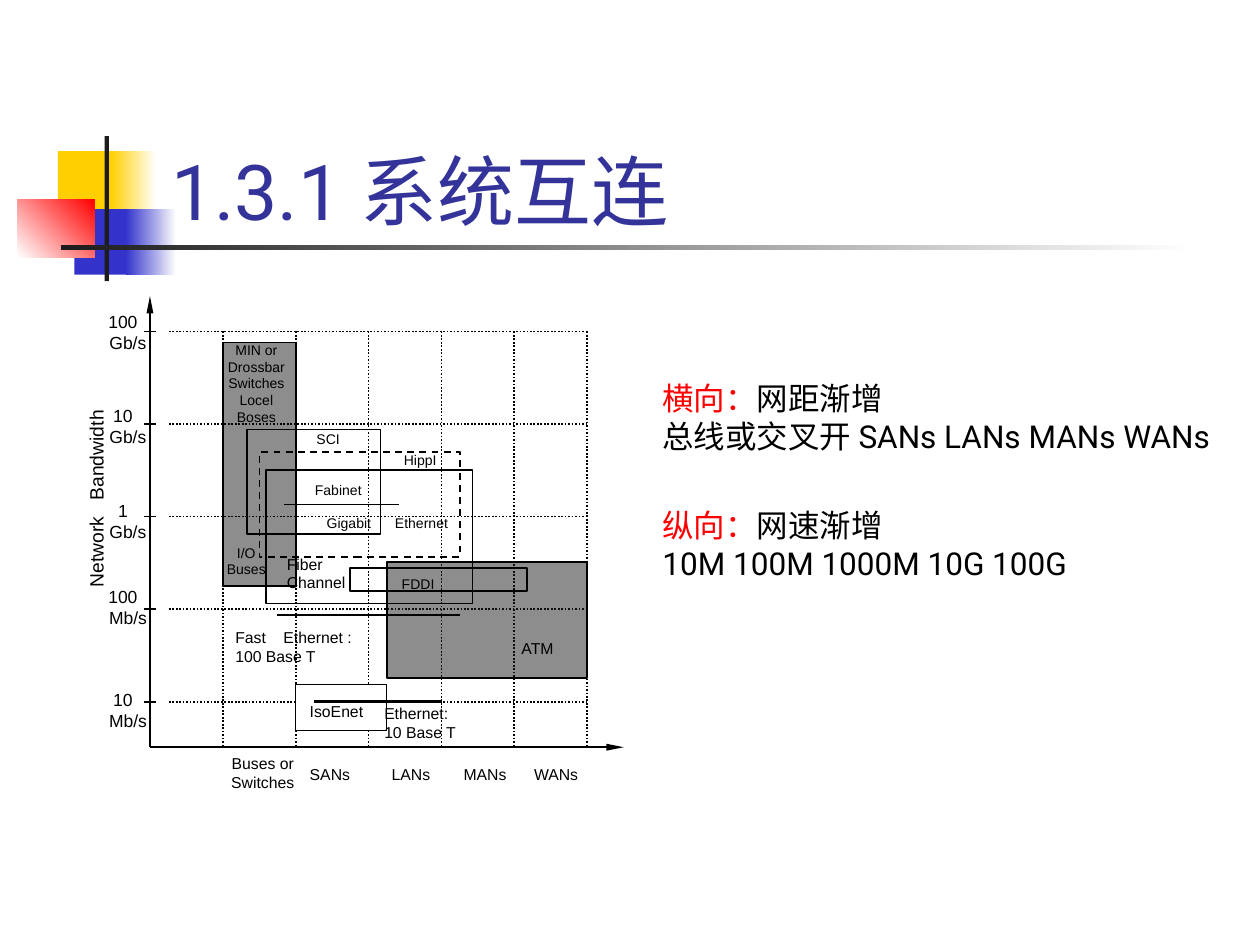
import dataclasses

import pptx
import pptx.dml.color
import pptx.enum.dml
import pptx.enum.shapes
import pptx.enum.text
import pptx.oxml.ns
import pptx.util
from lxml import etree

Pt = pptx.util.Pt
ALIGN = pptx.enum.text.PP_ALIGN
ANCHOR = pptx.enum.text.MSO_ANCHOR
DASH = pptx.enum.dml.MSO_LINE
RECTANGLE = pptx.enum.shapes.MSO_SHAPE.RECTANGLE
STRAIGHT = pptx.enum.shapes.MSO_CONNECTOR.STRAIGHT
qn = pptx.oxml.ns.qn


@dataclasses.dataclass(frozen=True)
class Theme:
    yellow: str = "FFCF01"
    blue: str = "3333CC"
    red: str = "FF0000"
    dark: str = "1C1C1C"
    white: str = "FFFFFF"
    ink: str = "000000"
    title: str = "333399"
    text_font: str = "Roboto"
    chart_font: str = "Arial"
    title_size: int = 44
    body_size: int = 18
    axis_title_size: int = 11
    scale_size: int = 10
    label_size: int = 9
    small_size: int = 8


THEME = Theme()

GRID_LEFT, GRID_RIGHT = 96.5, 335.5
COLUMNS = [127.4 + 41.62 * i for i in range(6)]
ROWS = [189.4 + 52.9 * i for i in range(5)]
ORIGIN_X, ORIGIN_Y = 85.7, 427

# value, unit, top of the value
SCALE = [
    ("100", "Gb/s", 174.2),
    ("10", "Gb/s", 228.2),
    ("1", "Gb/s", 282.2),
    ("100", "Mb/s", 331.2),
    ("10", "Mb/s", 390.2),
]

# text, box, size, side inset, alignment, tab stop
LABELS = [
    ("MIN or Drossbar Switches Locel Boses", (123.1, 191.5, 46.8, 55.4),
     THEME.small_size, 2.9, ALIGN.CENTER, None),
    ("SCI", (169.9, 242.6, 35.3, 17.3), THEME.small_size, 7.2, ALIGN.CENTER, None),
    ("HippI", (222.5, 254.2, 35.3, 17.3), THEME.small_size, 7.2, ALIGN.CENTER, None),
    ("Fabinet", (169.9, 271.4, 46.8, 17.3), THEME.small_size, 7.2, ALIGN.CENTER, None),
    ("Gigabit\tEthernet", (179.6, 290.2, 93.6, 17.3),
     THEME.small_size, 7.2, ALIGN.LEFT, 39),
    ("Fiber Channel", (161, 313.2, 46.8, 28.8), THEME.label_size, 2.9, ALIGN.LEFT, None),
    ("FDDI", (222.5, 325.4, 41, 17.3), THEME.small_size, 7.2, ALIGN.LEFT, None),
    ("I/O Buses", (123.1, 307.4, 35.3, 26.6), THEME.small_size, 2.9, ALIGN.CENTER, None),
    ("Fast\tEthernet : 100 Base T", (127.4, 355, 83.5, 28.8),
     THEME.label_size, 7.2, ALIGN.LEFT, 27.5),
    ("ATM", (290.9, 361.4, 48.2, 18), THEME.label_size, 7.2, ALIGN.LEFT, None),
    ("IsoEnet", (169.9, 397.4, 58.3, 18), THEME.label_size, 7.2, ALIGN.LEFT, None),
    ("Ethernet: 10 Base T", (216.7, 398.9, 52.6, 28.8),
     THEME.label_size, 2.9, ALIGN.LEFT, None),
    ("Buses or Switches", (123.1, 427, 54, 28.8),
     THEME.label_size, 7.2, ALIGN.CENTER, None),
]
NETWORKS = [("SANs", 169.9), ("LANs", 216.7), ("MANs", 257.8), ("WANs", 298.1)]


def rgb(colour):
    return pptx.dml.color.RGBColor.from_string(colour)


def add_block(slide, box, fill=None, fade_to=None, angle=0, alpha=None,
              line=None, dash=None):
    """Rectangle with a plain, fading, see-through or empty fill."""
    block = slide.shapes.add_shape(RECTANGLE, *map(Pt, box))
    block.shadow.inherit = False
    if fade_to:
        block.fill.gradient()
        block.fill.gradient_angle = angle
        for stop, colour in zip(block.fill.gradient_stops, (fill, fade_to)):
            stop.color.rgb = rgb(colour)
    elif fill:
        block.fill.solid()
        block.fill.fore_color.rgb = rgb(fill)
        if alpha:
            colour = block.fill._xPr.find(qn("a:solidFill"))[0]
            etree.SubElement(colour, qn("a:alpha"), val=str(alpha * 1000))
    else:
        block.fill.background()
    if line:
        block.line.color.rgb = rgb(THEME.ink)
        block.line.width = Pt(line)
        if dash:
            block.line.dash_style = dash
    else:
        block.line.fill.background()


def add_line(slide, start, end, width=1, dash=None, arrow=False):
    line = slide.shapes.add_connector(STRAIGHT, *map(Pt, (*start, *end)))
    line.line.color.rgb = rgb(THEME.ink)
    line.line.width = Pt(width)
    if dash:
        line.line.dash_style = dash
    if arrow:
        etree.SubElement(line.line._get_or_add_ln(), qn("a:tailEnd"),
                         type="triangle", w="sm", len="lg")
    etree.SubElement(line._element.spPr, qn("a:effectLst"))


def add_text(slide, box, paragraphs, size, font=THEME.chart_font, inset=7.2,
             align=ALIGN.LEFT, tab=None, anchor=ANCHOR.TOP, rotation=0):
    """Each paragraph is a list of (text, colour) runs."""
    area = slide.shapes.add_textbox(*map(Pt, box))
    area.rotation = rotation
    frame = area.text_frame
    frame.word_wrap = True
    frame.vertical_anchor = anchor
    frame.margin_left = frame.margin_right = Pt(inset)
    frame.margin_top = frame.margin_bottom = Pt(3.6)
    for i, runs in enumerate(paragraphs):
        paragraph = frame.paragraphs[0] if i == 0 else frame.add_paragraph()
        paragraph.alignment = align
        if tab:
            stops = etree.SubElement(paragraph._p.get_or_add_pPr(), qn("a:tabLst"))
            etree.SubElement(stops, qn("a:tab"), pos=str(Pt(tab)), algn="l")
        paragraph.font.name = font
        paragraph.font.size = Pt(size)
        for text, colour in runs:
            run = paragraph.add_run()
            run.text = text
            run.font.color.rgb = rgb(colour)


def add_header(slide):
    add_block(slide, (33.1, 86.4, 34.6, 37.4), THEME.yellow)
    add_block(slide, (63.4, 86.4, 25.9, 37.4), THEME.yellow, THEME.white)
    add_block(slide, (42.5, 119.5, 33.1, 37.4), THEME.blue)
    add_block(slide, (72, 119.5, 28.8, 37.4), THEME.blue, THEME.white)
    add_block(slide, (10.1, 113.8, 43.9, 33.1), THEME.white, THEME.red, angle=45)
    add_block(slide, (59.8, 77.8, 2.5, 82.8), THEME.dark)
    add_block(slide, (34.6, 140.2, 648, 2.5), THEME.dark, THEME.white)
    add_text(slide, (90.7, 48.2, 613.4, 90), [[("1.3.1 系统互连", THEME.title)]],
             THEME.title_size, THEME.text_font, anchor=ANCHOR.BOTTOM)


def add_direction(slide, top, heading, trend, steps):
    add_text(slide, (371.5, top, 346, 50.4),
             [[(heading, THEME.red), (trend, THEME.ink)], [(steps, THEME.ink)]],
             THEME.body_size, THEME.text_font)


def add_axes_and_grid(slide):
    for x in COLUMNS:
        add_line(slide, (x, ROWS[0]), (x, ORIGIN_Y), dash=DASH.ROUND_DOT)
    add_block(slide, (COLUMNS[0], 195.8, 41.62, 139), THEME.dark, alpha=50, line=1)
    add_line(slide, (ORIGIN_X, ORIGIN_Y), (356.4, ORIGIN_Y), arrow=True)
    add_line(slide, (ORIGIN_X, ORIGIN_Y), (ORIGIN_X, 169.2), arrow=True)
    for y in ROWS:
        add_line(slide, (ORIGIN_X - 3.6, y), (ORIGIN_X + 3.6, y))
        add_line(slide, (GRID_LEFT, y), (GRID_RIGHT, y), dash=DASH.ROUND_DOT)


def add_network_ranges(slide):
    add_block(slide, (221, 321.1, 114.5, 66.2), THEME.dark, alpha=50, line=1)
    add_block(slide, (141.1, 245.5, 76.3, 59.8), line=1)
    add_block(slide, (148.3, 258.5, 114.5, 59.8), line=1, dash=DASH.DASH)
    add_block(slide, (151.9, 268.6, 118.1, 76.3), line=1)
    add_block(slide, (200.2, 324.7, 100.8, 13), line=1)
    add_line(slide, (162, 288.3), (228.2, 288.3))
    add_line(slide, (158.4, 351.4), (262.8, 351.4))
    add_block(slide, (COLUMNS[1], 391, 51.8, 26.6), THEME.white, line=0.75)
    add_line(slide, (179.3, ROWS[4]), (252.7, ROWS[4]), width=1.5)


def add_chart_labels(slide):
    add_text(slide, (-25.9, 251.3, 162, 20.9), [[("Network\tBandwidth", THEME.ink)]],
             THEME.axis_title_size, tab=49.7, rotation=270)
    for value, unit, top in SCALE:
        for text, y, width in ((value, top, 46.8), (unit, top + 11.9, 52.6)):
            add_text(slide, (46.8, y, width, 19.4), [[(text, THEME.ink)]],
                     THEME.scale_size, align=ALIGN.CENTER)
    for text, box, size, inset, align, tab in LABELS:
        add_text(slide, box, [[(text, THEME.ink)]], size,
                 inset=inset, align=align, tab=tab)
    for network, left in NETWORKS:
        add_text(slide, (left, 433.4, 43, 18), [[(network, THEME.ink)]],
                 THEME.label_size)


def main():
    deck = pptx.Presentation()
    deck.slide_width, deck.slide_height = Pt(720), Pt(540)
    slide = deck.slides.add_slide(deck.slide_layouts[6])
    add_header(slide)
    add_direction(slide, 213.1, "横向：", "网距渐增", "总线或交叉开 SANs LANs MANs WANs")
    add_direction(slide, 285.8, "纵向：", "网速渐增", "10M 100M 1000M 10G 100G")
    add_axes_and_grid(slide)
    add_network_ranges(slide)
    add_chart_labels(slide)
    deck.save("out.pptx")


if __name__ == "__main__":
    main()
